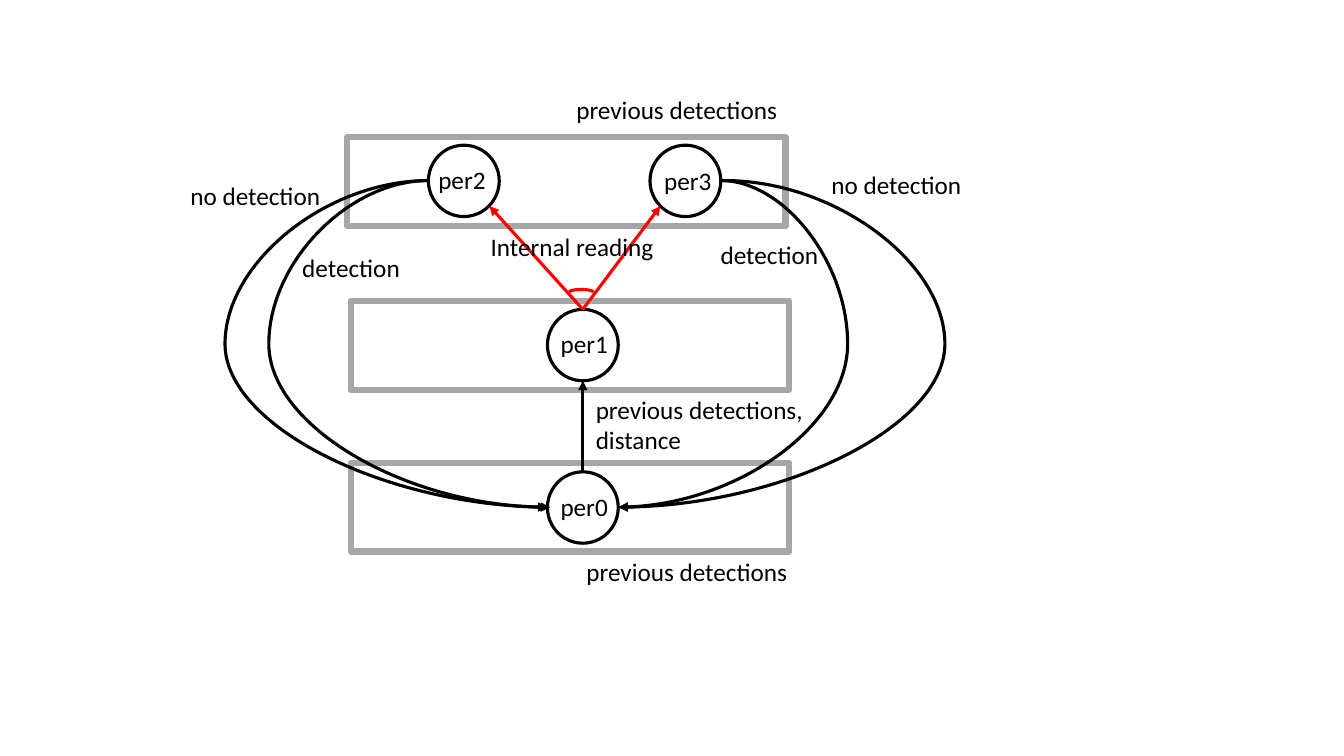
from pptx import Presentation
from pptx.dml.color import RGBColor
from pptx.enum.shapes import MSO_CONNECTOR, MSO_SHAPE
from pptx.enum.text import MSO_AUTO_SIZE
from pptx.oxml.ns import qn
from pptx.util import Pt
from lxml import etree

OVAL, RECT, ARC = MSO_SHAPE.OVAL, MSO_SHAPE.RECTANGLE, MSO_SHAPE.ARC
STRAIGHT, CURVE = MSO_CONNECTOR.STRAIGHT, MSO_CONNECTOR.CURVE
GROW = MSO_AUTO_SIZE.SHAPE_TO_FIT_TEXT
COLORS = {"ink": "000000", "paper": "FFFFFF", "frame": "A6A6A6", "read": "FF0000"}
LINE_W = 2.25
NODE_W, NODE_H = 50.6, 51
FRAME_W, FRAME_H = 313.2, 63.4


def rgb(name):
    return RGBColor.from_string(COLORS[name])


def write(tf, text, font="Calibri", size=18, color="ink"):
    p = tf.paragraphs[0]
    r = p.add_run()
    r.text = text
    r.font.name, r.font.size = font, Pt(size)
    r.font.color.rgb = rgb(color)


class Diagram:
    """Draws styled elements on one slide, with lengths in points."""

    def __init__(self, slide):
        self.shapes = slide.shapes

    def shape(self, kind, x, y, w, h, line="ink", width=LINE_W, fill=None):
        s = self.shapes.add_shape(kind, Pt(x), Pt(y), Pt(w), Pt(h))
        s.shadow.inherit = False
        if fill:
            s.fill.solid()
            s.fill.fore_color.rgb = rgb(fill)
        else:
            s.fill.background()
        s.line.color.rgb, s.line.width = rgb(line), Pt(width)
        return s

    def node(self, x, y):
        return self.shape(OVAL, x, y, NODE_W, NODE_H, fill="paper")

    def frame(self, x, y):
        return self.shape(RECT, x, y, FRAME_W, FRAME_H, line="frame", width=4.5)

    def label(self, text, x, y, w, h=29, wrap=True):
        s = self.shapes.add_textbox(Pt(x), Pt(y), Pt(w), Pt(h))
        tf = s.text_frame
        tf.word_wrap, tf.auto_size = wrap, GROW
        write(tf, text)

    def connector(self, kind, x1, y1, x2, y2, color="ink"):
        c = self.shapes.add_connector(kind, Pt(x1), Pt(y1), Pt(x2), Pt(y2))
        c.line.color.rgb, c.line.width = rgb(color), Pt(LINE_W)
        etree.SubElement(c.line._get_or_add_ln(), qn("a:tailEnd"), type="triangle")
        etree.SubElement(c._element.spPr, qn("a:effectLst"))
        return c

    def arrow(self, start, x2, y2, color="ink"):
        c = self.connector(STRAIGHT, 0, 0, x2, y2, color)
        c.begin_connect(start, 0)

    def curve(self, x1, y1, x2, y2, bend_x):
        c = self.connector(CURVE, x1, y1, x2, y2)
        bend = round((bend_x - x1) / (x2 - x1) * 100000)
        av = c._element.spPr.find(qn("a:prstGeom")).get_or_add_avLst()
        etree.SubElement(av, qn("a:gd"), name="adj1", fmla=f"val {bend}")


def main():
    prs = Presentation()
    prs.slide_width, prs.slide_height = Pt(960), Pt(540)
    d = Diagram(prs.slides.add_slide(prs.slide_layouts[6]))

    per0 = d.node(391, 337)
    d.frame(250.6, 330.5)
    d.label("per0", 393.3, 347.5, 48.2)
    d.label("previous detections", 411.8, 394, 164)

    per1 = d.node(391, 221)
    d.frame(250.6, 215)
    d.label("per1", 393.3, 231, 59)
    d.label("previous detections, distance", 418.5, 278, 164, 51)

    for x in (306, 464.3):
        d.node(x, 103.7)
    d.frame(247.9, 97.9)
    d.label("per2", 306, 113.5, 50.4)
    d.label("per3", 467.3, 114.5, 50.4)
    d.label("previous detections", 404.6, 63.5, 164)

    d.arrow(per0, 416.3, 272)
    for x in (349.6, 471.7):
        d.arrow(per1, x, 147.2, "read")
    angle = d.shape(ARC, 406.6, 206.8, 17.3, 3.6, line="read")
    angle.adjustments[0], angle.adjustments[1] = 107.69, 0

    for x1, x2, bend_x in ((306, 391, 192), (514.9, 441.8, 605.5),
                           (306, 393, 160.7), (517.7, 441.8, 675)):
        d.curve(x1, 129, x2, 362.3, bend_x)

    for text, x, y, w in (("Internal reading", 343.4, 162, 132.5),
                          ("detection", 208.8, 176.8, 85),
                          ("detection", 507.6, 167.3, 85),
                          ("no detection", 128.9, 125.3, 108.7),
                          ("no detection", 586.8, 117.5, 108.7)):
        d.label(text, x, y, w, wrap=False)

    prs.save("out.pptx")


if __name__ == "__main__":
    main()
